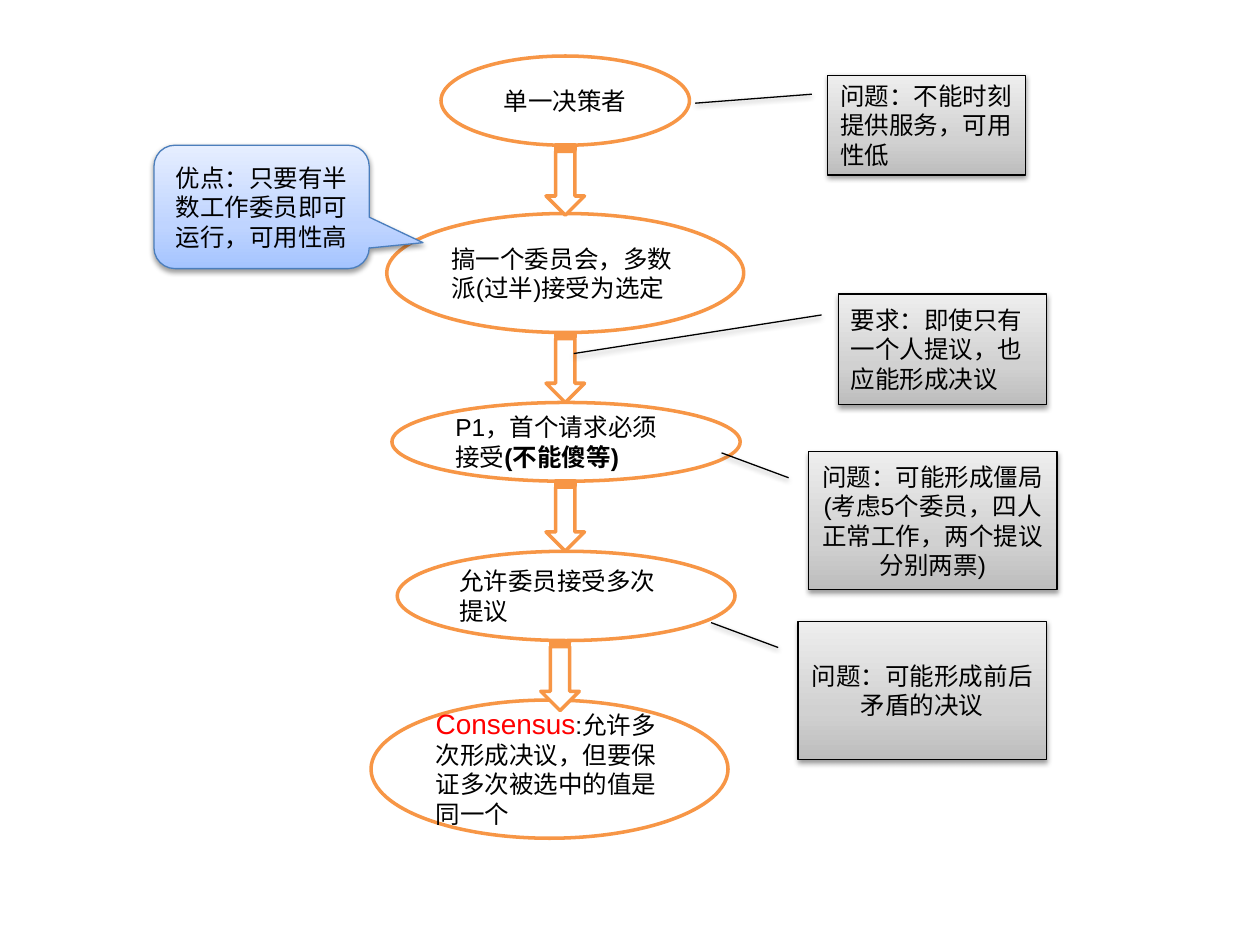
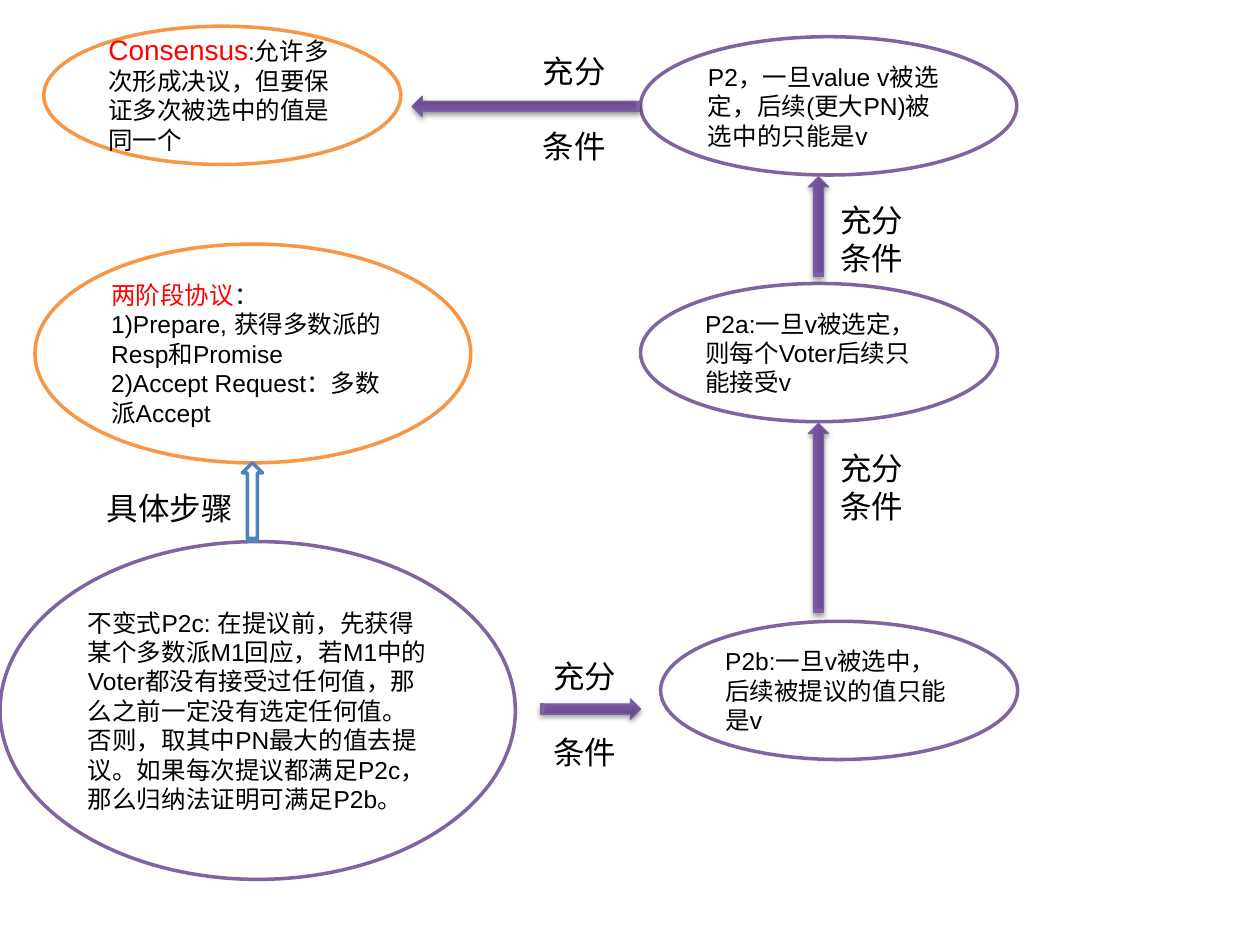
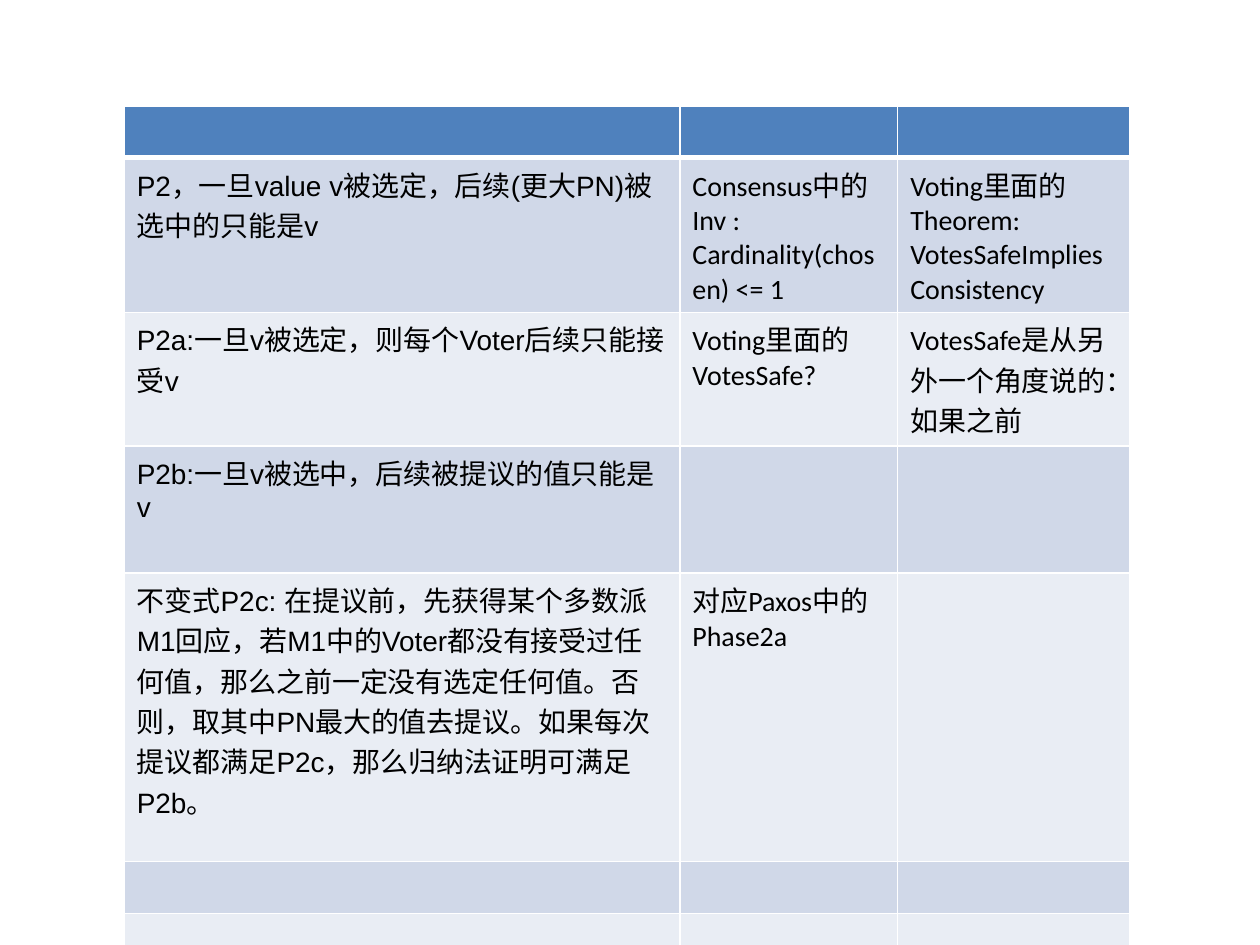
from dataclasses import dataclass

from lxml import etree
from pptx import Presentation
from pptx.dml.color import RGBColor
from pptx.enum.shapes import MSO_SHAPE
from pptx.enum.text import MSO_ANCHOR, PP_ALIGN
from pptx.oxml.ns import qn
from pptx.util import Pt

ELLIPSE = MSO_SHAPE.OVAL
ARROW = MSO_SHAPE.STRIPED_RIGHT_ARROW
LINE_CALLOUT = MSO_SHAPE.LINE_CALLOUT_1
BUBBLE = MSO_SHAPE.ROUNDED_RECTANGULAR_CALLOUT
LEFT, CENTER = PP_ALIGN.LEFT, PP_ALIGN.CENTER
TOP, MIDDLE = MSO_ANCHOR.TOP, MSO_ANCHOR.MIDDLE


@dataclass(frozen=True)
class Theme:
    """Colours, fonts and type sizes of the deck."""
    font: str = "Arial"
    table_font: str = "Calibri"
    body: float = 14
    lead: float = 16
    label: float = 18
    leading: float = 1.2
    ink: str = "000000"
    paper: str = "FFFFFF"
    accent: str = "FF0000"
    orange: str = "F79646"
    purple: str = "8064A2"
    blue: str = "4F81BD"
    bubble_edge: str = "4B7EBC"
    arrow_edge: str = "7D60A0"
    bands: tuple = ("D0D8E8", "E9EDF4")
    grey_ramp: tuple = ((0, "BDBDBD"), (35, "D1D1D1"), (100, "EEEEEE"))
    blue_ramp: tuple = ((0, "A4C4FF"), (35, "BFD4FF"), (100, "E6EEFF"))
    purple_ramp: tuple = ((0, "5F4480"), (80, "7B58A6"), (100, "7C57A8"))


@dataclass(frozen=True)
class Box:
    """A rectangle in points."""
    left: float
    top: float
    width: float
    height: float

    def inside(self, left, top, width, height):
        """Return a box placed relative to this one."""
        return Box(self.left + left, self.top + top, width, height)

    def lengths(self):
        """Return the four lengths for python-pptx."""
        return [Pt(n) for n in (self.left, self.top, self.width, self.height)]


THEME = Theme()
CONSENSUS = [[("Consensus", {"color": THEME.accent, "size": THEME.lead}),
              (":允许多次形成决议，但要保证多次被选中的值是同一个", {})]]
P2 = "P2，一旦value v被选定，后续(更大PN)被选中的只能是v"
P2A = "P2a:一旦v被选定，则每个Voter后续只能接受v"
P2B = "P2b:一旦v被选中，后续被提议的值只能是v"
P2C = ("不变式P2c: 在提议前，先获得某个多数派M1回应，若M1中的Voter都没有接受过任何值，"
       "那么之前一定没有选定任何值。否则，取其中PN最大的值去提议。如果每次提议都满足P2c，"
       "那么归纳法证明可满足P2b。")


def element(parent, tag, **attributes):
    """Append a DrawingML child and return it."""
    child = etree.SubElement(parent, qn(tag))
    for name, value in attributes.items():
        child.set(name, str(value))
    return child


def write(frame, text, size=THEME.body, font=THEME.font, color=THEME.ink, align=LEFT,
          anchor=MIDDLE, gap=0, leading=THEME.leading):
    """Fill a text frame with a string or a list of paragraphs made of spans."""
    frame.word_wrap = True
    frame.vertical_anchor = anchor
    paragraphs = [text] if isinstance(text, str) else text
    for index, content in enumerate(paragraphs):
        para = frame.add_paragraph() if index else frame.paragraphs[0]
        para.alignment = align
        if leading:
            para.line_spacing = Pt(size * leading)
        if index and gap:
            para.space_before = Pt(gap)
        for words, change in [(content, {})] if isinstance(content, str) else content:
            span = para.add_run()
            span.text = words
            span.font.name = font
            span.font.size = Pt(change.get("size", size))
            span.font.bold = change.get("bold", False)
            span.font.color.rgb = RGBColor.from_string(change.get("color", color))


def add_figure(page, kind, box, edge, weight=2, ramp=None, adjust=(), turn=0):
    """Add a preset shape, white or with a shaded and shadowed face."""
    figure = page.shapes.add_shape(kind, *box.lengths())
    figure.rotation = turn
    figure.shadow.inherit = False
    for index, value in enumerate(adjust):
        figure.adjustments[index] = value
    figure.line.color.rgb = RGBColor.from_string(edge)
    figure.line.width = Pt(weight)
    if ramp:
        shade(figure, ramp)
    else:
        figure.fill.solid()
        figure.fill.fore_color.rgb = RGBColor.from_string(THEME.paper)
    return figure


def shade(figure, ramp):
    """Give a figure an upward gradient and a soft shadow."""
    figure.fill.gradient()
    figure.fill.gradient_angle = 90
    properties = figure.element.spPr
    stops = properties.find(".//" + qn("a:gsLst"))
    for stop in list(stops):
        stops.remove(stop)
    for position, color in ramp:
        stop = element(stops, "a:gs", pos=position * 1000)
        element(stop, "a:srgbClr", val=color)
    shadow = element(properties.find(qn("a:effectLst")), "a:outerShdw", blurRad=Pt(3.1),
                     dist=Pt(1.6), dir=5400000, rotWithShape=0)
    element(element(shadow, "a:srgbClr", val=THEME.ink), "a:alpha", val=38000)


def add_idea(page, box, text, edge, align=LEFT):
    """Add an outlined ellipse with text."""
    write(add_figure(page, ELLIPSE, box, edge).text_frame, text, align=align)


def add_arrow(page, box, turn, edge, weight=2, ramp=None):
    """Add a striped arrow that covers the box after its turn."""
    if turn % 180:
        middle, center = box.left + box.width / 2, box.top + box.height / 2
        box = Box(middle - box.height / 2, center - box.width / 2, box.height, box.width)
    add_figure(page, ARROW, box, edge, weight, ramp, turn=turn)


def add_label(page, box, text, gap=0):
    """Add a free label."""
    frame = page.shapes.add_textbox(*box.lengths()).text_frame
    write(frame, text, size=THEME.label, anchor=TOP, gap=gap)


def decision_flow(page, box):
    """Draw the column of steps, each with an arrow to the next."""
    steps = [
        (40, 0, 142, 51, "单一决策者", CENTER),
        (9, 90, 204, 68, "搞一个委员会，多数派(过半)接受为选定", LEFT),
        (12, 198, 199, 45, [[("P1，首个请求必须接受", {}), ("(不能傻等)", {"bold": True})]], LEFT),
        (15, 283, 193, 51, "允许委员接受多次提议", LEFT),
        (0, 368, 204, 79, CONSENSUS, LEFT),
    ]
    for left, top, width, height, text, align in steps:
        add_idea(page, box.inside(left, top, width, height), text, THEME.orange, align)
    for (_, top, _, height, _, _), middle in zip(steps[:-1], (111, 111, 111, 108)):
        place = box.inside(middle - 11, top + height, 22, 40)
        add_arrow(page, place, 90, THEME.orange)


def flow_notes(page, box):
    """Draw the grey notes beside the flow, with their leader lines."""
    notes = [
        (17, 0, 113, 57, "问题：不能时刻提供服务，可用性低", LEFT, (0.28, -0.67)),
        (23, 125, 119, 63, "要求：即使只有一个人提议，也应能形成决议", LEFT, (0.54, -1.27)),
        (6, 215, 142, 79, "问题：可能形成僵局(考虑5个委员，四人正常工作，两个提议分别两票)",
         CENTER, (0.01, -0.35)),
        (0, 312, 142, 79, "问题：可能形成前后矛盾的决议", CENTER, (0.01, -0.35)),
    ]
    for left, top, width, height, text, align, tip in notes:
        note = add_figure(page, LINE_CALLOUT, box.inside(left, top, width, height), THEME.ink,
                          0.75, THEME.grey_ramp, (0.19, -0.08, *tip))
        write(note.text_frame, text, align=align)


def benefit_bubble(page, box):
    """Draw the blue speech bubble."""
    bubble = add_figure(page, BUBBLE, box, THEME.bubble_edge, 0.75, THEME.blue_ramp,
                        (0.75, 0.29, 0.17))
    write(bubble.text_frame, "优点：只要有半数工作委员即可运行，可用性高", align=CENTER)


def protocol_column(page, box):
    """Draw the goal, the protocol and the invariant it follows from."""
    protocol = [[("两阶段协议", {"color": THEME.accent}), ("：", {})],
                "1)Prepare, 获得多数派的Resp和Promise", "2)Accept Request：多数派Accept"]
    add_idea(page, box.inside(25, 0, 204, 79), CONSENSUS, THEME.orange)
    add_idea(page, box.inside(0, 294.5, 294.5, 193), P2C, THEME.purple)
    add_idea(page, box.inside(20, 124.5, 249, 125), protocol, THEME.orange)
    add_arrow(page, box.inside(138.5, 249.5, 11.5, 45), 270, THEME.blue)
    add_label(page, box.inside(54, 261, 96, 29), "具体步骤")


def condition_column(page, box):
    """Draw the three conditions, one above the other."""
    conditions = [(0, 0, 215, P2), (0, 141, 204, P2A), (11.5, 334, 204, P2B)]
    for left, top, width, text in conditions:
        add_idea(page, box.inside(left, top, width, 79), text, THEME.purple)


def sufficiency_links(page, box):
    """Draw the purple arrows with their labels."""
    links = [
        ((235.5, 55, 130, 11.5), 180, (303, 26, 73, 73)),
        ((462, 101, 11.5, 57), 270, (473, 111.5, 73, 51)),
        ((309, 399.5, 57, 11.5), 0, (309, 372, 73, 73)),
        ((462, 242, 11.5, 108), 270, (473, 253, 73, 51)),
    ]
    for place, turn, label in links:
        add_arrow(page, box.inside(*place), turn, THEME.arrow_edge, 0.75, THEME.purple_ramp)
        gap = 0 if turn == 270 else THEME.label * THEME.leading
        add_label(page, box.inside(*label), ["充分", "条件"], gap)


def border_cell(cell, bottom):
    """Draw white borders on a cell."""
    properties = cell._tc.get_or_add_tcPr()
    for index, side in enumerate("LRTB"):
        weight = bottom if side == "B" else 1
        border = element(properties, "a:ln" + side, w=Pt(weight))
        element(element(border, "a:solidFill"), "a:srgbClr", val=THEME.paper)
        properties.insert(index, border)


def mapping_table(page, box):
    """Draw the table that maps conditions to the specification."""
    rows = [
        ("", "", ""),
        (P2, "Consensus中的Inv : Cardinality(chosen) <= 1",
         "Voting里面的Theorem: VotesSafeImpliesConsistency"),
        (P2A, "Voting里面的VotesSafe? ", "VotesSafe是从另外一个角度说的：如果之前"),
        (P2B, "", ""),
        (P2C, "对应Paxos中的Phase2a", ""),
        ("", "", ""),
        ("", "", ""),
    ]
    table = page.shapes.add_table(len(rows), 3, *box.lengths()).table
    for column, width in zip(table.columns, (317.5, 124.5, 132.5)):
        column.width = Pt(width)
    for row, height in zip(table.rows, (29.5, 88.5, 76.5, 72.5, 165, 29.5, 29.5)):
        row.height = Pt(height)
    for row_index, texts in enumerate(rows):
        for column_index, text in enumerate(texts):
            cell = table.cell(row_index, column_index)
            color = THEME.bands[(row_index - 1) % 2] if row_index else THEME.blue
            cell.fill.solid()
            cell.fill.fore_color.rgb = RGBColor.from_string(color)
            border_cell(cell, 1 if row_index else 3)
            if text:
                font = THEME.table_font if column_index else THEME.font
                write(cell.text_frame, text, size=THEME.lead, font=font, anchor=TOP, leading=None)


def main():
    """Build and save the deck."""
    deck = Presentation()
    deck.slide_width, deck.slide_height = Pt(720), Pt(540)
    flow, proof, mapping = [deck.slides.add_slide(deck.slide_layouts[6]) for _ in range(3)]
    decision_flow(flow, Box(212, 32, 213, 447))
    flow_notes(flow, Box(456, 43, 148, 391))
    benefit_bubble(flow, Box(88, 83, 123, 70.5))
    protocol_column(proof, Box(0, 15, 294.5, 487.5))
    condition_column(proof, Box(366, 21, 215.5, 413))
    sufficiency_links(proof, Box(0, 0, 720, 540))
    mapping_table(mapping, Box(71, 60.5, 574.5, 491))
    deck.save("out.pptx")


main()
